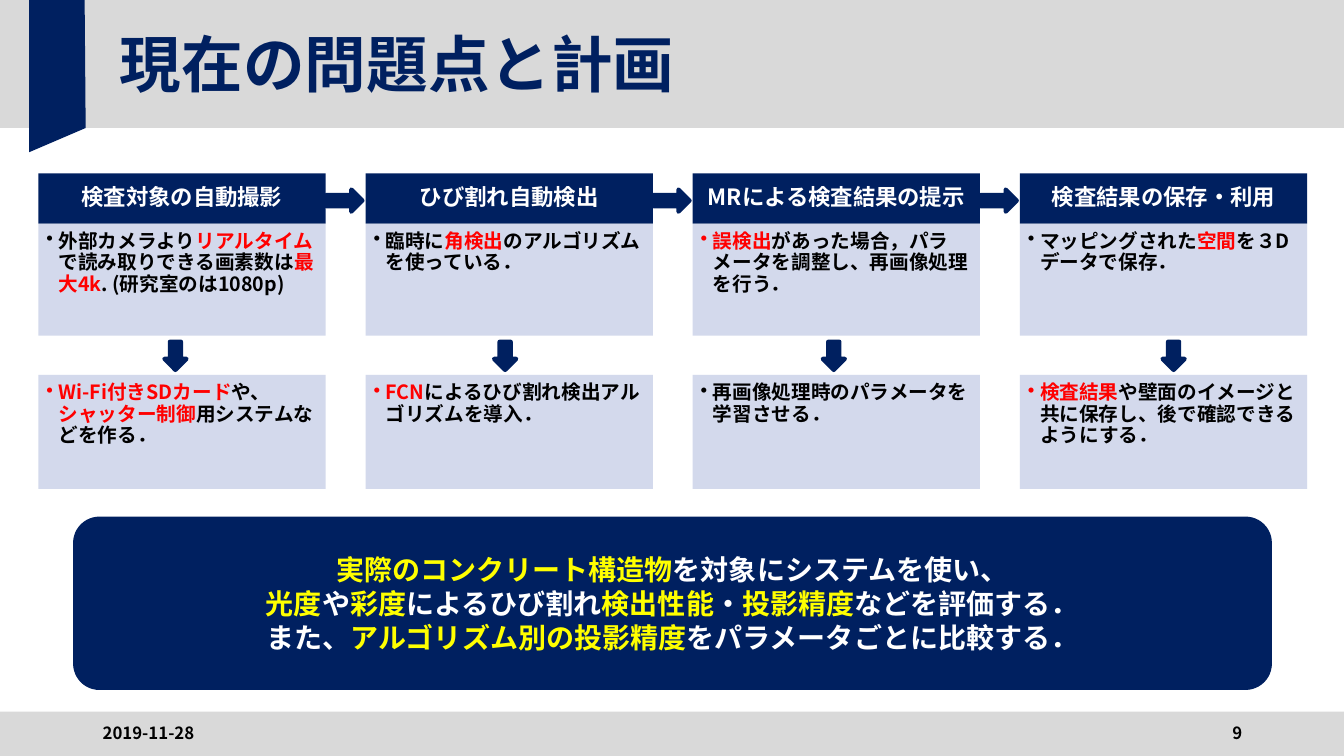
from lxml.etree import SubElement
from pptx import Presentation
from pptx.dml.color import RGBColor
from pptx.enum.shapes import MSO_SHAPE as SHAPE
from pptx.enum.text import MSO_ANCHOR as ANCHOR, PP_ALIGN as ALIGN
from pptx.oxml.ns import qn
from pptx.util import Inches, Pt

NAVY = RGBColor(0x00, 0x20, 0x60)
GRAY = RGBColor(0xD9, 0xD9, 0xD9)
PALE = RGBColor(0xCF, 0xD5, 0xEA)
WHITE = RGBColor(0xFF, 0xFF, 0xFF)
BLACK = RGBColor(0x00, 0x00, 0x00)
RED = RGBColor(0xFF, 0x00, 0x00)
YELLOW = RGBColor(0xFF, 0xFF, 0x00)
JP, KR = "Noto Sans CJK JP", "Noto Sans CJK KR"

SLIDE_W, SLIDE_H = 13.33, 7.5
COL_LEFT, COL_PITCH, COL_W = 0.38, 3.245, 2.85
HEAD_TOP, HEAD_H = 1.72, 0.5
ISSUE_H = 1.11
PLAN_TOP, PLAN_H = 3.72, 1.13
ARROW_W = 0.22

# heading, issue runs, issue font, plan runs, plan font, left of the down arrow
COLUMNS = [
    ("検査対象の自動撮影",
     [("外部カメラより", BLACK), ("リアルタイム", RED), ("で読み取りできる画素数は", BLACK),
      ("最大4k", RED), (". (研究室のは1080p)", BLACK)], KR,
     [("Wi-Fi付きSDカード", RED), ("や、\n", BLACK), ("シャッター制御", RED),
      ("用システムなどを作る．", BLACK)], KR, 1.63),
    ("ひび割れ自動検出",
     [("臨時に", BLACK), ("角検出", RED), ("のアルゴリズムを使っている．", BLACK)], JP,
     [("FCN", RED), ("によるひび割れ検出アルゴリズムを導入．", BLACK)], JP, 4.9),
    ("MRによる検査結果の提示",
     [("誤検出", RED), ("があった場合，パラメータを調整し、再画像処理を行う．", BLACK)], JP,
     [("再画像処理時のパラメータを学習させる．", BLACK)], JP, 8.16),
    ("検査結果の保存・利用",
     [("マッピングされた", BLACK), ("空間", RED), ("を３Dデータで保存．", BLACK)], JP,
     [("検査結果", RED), ("や壁面のイメージと共に保存し、後で確認できるようにする．", BLACK)], JP, 11.53),
]

SUMMARY = [
    [("実際のコンクリート構造物", YELLOW), ("を対象にシステムを使い、", WHITE)],
    [("光度", YELLOW), ("や", WHITE), ("彩度", YELLOW), ("によるひび割れ", WHITE),
     ("検出性能", YELLOW), ("・", WHITE), ("投影精度", YELLOW), ("などを評価する．", WHITE)],
    [("また、", WHITE), ("アルゴリズム別の投影精度", YELLOW),
     ("をパラメータごとに比較する．", WHITE)],
]


def add_runs(p, runs, size, font=JP):
    """Append bold (text, colour) runs; a closing newline becomes a line break."""
    for text, color in runs:
        r = p.add_run()
        r.text = text.rstrip("\n")
        r.font.size = Pt(size)
        r.font.bold = True
        r.font.name = font
        r.font.color.rgb = color
        SubElement(r.font._element, qn("a:ea")).set("typeface", font)
        if text.endswith("\n"):
            p.add_line_break()


def add_block(slide, kind, box, fill, line_pt=None):
    sp = slide.shapes.add_shape(kind, *map(Inches, box))
    sp.shadow.inherit = False
    sp.fill.solid()
    sp.fill.fore_color.rgb = fill
    if line_pt:
        sp.line.color.rgb = fill
        sp.line.width = Pt(line_pt)
    else:
        sp.line.fill.background()
    return sp


def set_frame(tf, anchor, insets):
    tf.word_wrap = True
    tf.vertical_anchor = anchor
    (tf.margin_left, tf.margin_top,
     tf.margin_right, tf.margin_bottom) = map(Inches, insets)


def add_bands(slide):
    """Grey header and footer bands with the ribbon at the top left."""
    add_block(slide, SHAPE.RECTANGLE, (0, 7.06, SLIDE_W, 0.44), GRAY)
    add_block(slide, SHAPE.RECTANGLE, (0, 0, SLIDE_W, 1.27), GRAY)
    fb = slide.shapes.build_freeform(Inches(0.29), Inches(1.51), 1.0)
    fb.add_line_segments([(Inches(x), Inches(y))
                          for x, y in ((0.85, 1.27), (0.84, 0), (0.29, 0))])
    ribbon = fb.convert_to_shape()
    ribbon.shadow.inherit = False
    ribbon.fill.solid()
    ribbon.fill.fore_color.rgb = NAVY
    ribbon.line.fill.background()


def add_title(slide, text, box):
    title = slide.shapes.title
    slide.shapes._spTree.append(title._element)  # in front of the header band
    title.left, title.top, title.width, title.height = map(Inches, box)
    tf = title.text_frame
    set_frame(tf, ANCHOR.MIDDLE, (0.1, 0.05, 0.1, 0.05))
    p = tf.paragraphs[0]
    p.alignment = ALIGN.LEFT
    p.line_spacing = 0.9
    add_runs(p, [(text, NAVY)], 44)


def add_heading(slide, text, box):
    tf = add_block(slide, SHAPE.RECTANGLE, box, NAVY).text_frame
    set_frame(tf, ANCHOR.MIDDLE, (0.12, 0.07, 0.12, 0.07))
    p = tf.paragraphs[0]
    p.alignment = ALIGN.CENTER
    p.line_spacing = 0.9
    add_runs(p, [(text, WHITE)], 16)


def add_card(slide, runs, font, box):
    """Pale, slightly transparent panel with one bulleted paragraph."""
    sp = add_block(slide, SHAPE.RECTANGLE, box, PALE)
    color = sp._element.spPr.find(qn("a:solidFill"))[0]
    SubElement(color, qn("a:alpha")).set("val", "90000")
    tf = sp.text_frame
    set_frame(tf, ANCHOR.TOP, (0.08, 0.08, 0.11, 0.12))
    p = tf.paragraphs[0]
    pPr = p._p.get_or_add_pPr()
    pPr.set("marL", str(Inches(0.12)))
    pPr.set("indent", str(-Inches(0.12)))
    SubElement(pPr, qn("a:buChar")).set("char", "•")
    p.alignment = ALIGN.LEFT
    p.line_spacing = 0.9
    add_runs(p, runs, 14, font)


def add_column(slide, left, column):
    heading, issue, issue_font, plan, plan_font, arrow_left = column
    add_heading(slide, heading, (left, HEAD_TOP, COL_W, HEAD_H))
    add_card(slide, issue, issue_font, (left, HEAD_TOP + HEAD_H, COL_W, ISSUE_H))
    add_card(slide, plan, plan_font, (left, PLAN_TOP, COL_W, PLAN_H))
    add_block(slide, SHAPE.DOWN_ARROW, (arrow_left, 3.39, ARROW_W, 0.28), NAVY, 3)


def add_flow(slide):
    for i, column in enumerate(COLUMNS):
        left = COL_LEFT + i * COL_PITCH
        add_column(slide, left, column)
        if i:
            arrow = add_block(slide, SHAPE.DOWN_ARROW,
                              (left - 0.32, 1.81, ARROW_W, 0.36), NAVY, 3)
            arrow.rotation = 270


def add_summary(slide, box):
    sp = add_block(slide, SHAPE.ROUNDED_RECTANGLE, box, NAVY, 0.75)
    sp.adjustments[0] = 0.15
    tf = sp.text_frame
    set_frame(tf, ANCHOR.MIDDLE, (0.1, 0.05, 0.1, 0.05))
    for i, runs in enumerate(SUMMARY):
        p = tf.add_paragraph() if i else tf.paragraphs[0]
        p.alignment = ALIGN.CENTER
        add_runs(p, runs, 20)


def add_footer_text(slide, text, left, align):
    tf = slide.shapes.add_textbox(*map(Inches, (left, 7.07, 3, 0.4))).text_frame
    set_frame(tf, ANCHOR.MIDDLE, (0.1, 0.05, 0.1, 0.05))
    p = tf.paragraphs[0]
    p.alignment = align
    add_runs(p, [(text, BLACK)], 12)


def main():
    prs = Presentation()
    prs.slide_width, prs.slide_height = Inches(SLIDE_W), Inches(SLIDE_H)
    slide = prs.slides.add_slide(prs.slide_layouts[5])
    add_bands(slide)
    add_title(slide, "現在の問題点と計画", (1.09, 0.12, 11.15, 1.11))
    add_flow(slide)
    add_summary(slide, (0.73, 5.13, 11.88, 1.71))
    add_footer_text(slide, "2019-11-28", 0.92, ALIGN.LEFT)
    add_footer_text(slide, "9", 9.42, ALIGN.RIGHT)
    prs.save("out.pptx")


if __name__ == "__main__":
    main()
